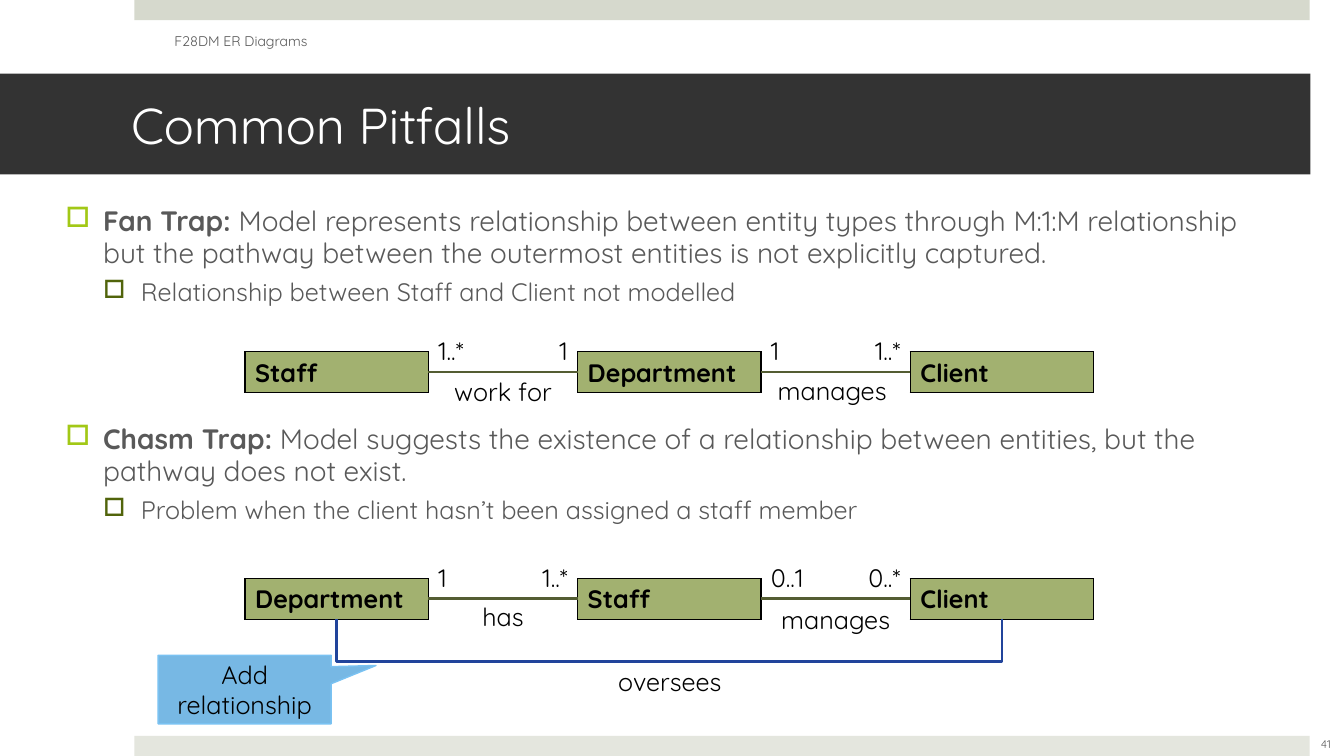
from lxml import etree
from pptx import Presentation
from pptx.dml.color import RGBColor
from pptx.enum.shapes import MSO_CONNECTOR, MSO_SHAPE
from pptx.enum.text import MSO_ANCHOR, MSO_AUTO_SIZE, PP_ALIGN
from pptx.oxml.ns import qn
from pptx.util import Pt

LEFT, CENTER, RIGHT = PP_ALIGN.LEFT, PP_ALIGN.CENTER, PP_ALIGN.RIGHT
TOP, MIDDLE = MSO_ANCHOR.TOP, MSO_ANCHOR.MIDDLE
GROW = MSO_AUTO_SIZE.SHAPE_TO_FIT_TEXT
RECTANGLE, CALLOUT = MSO_SHAPE.RECTANGLE, MSO_SHAPE.RECTANGULAR_CALLOUT
STRAIGHT = MSO_CONNECTOR.STRAIGHT
TITLE_ONLY = 5

FONT = "Quicksand"
BLACK, WHITE, GREY = "000000", "FFFFFF", "595959"
DARK, GREEN, OLIVE, BLUE = "333333", "A2B170", "545D33", "21449B"

ENTITY_LEFT, ENTITY_STEP = 175, 237.6
ENTITY_WIDTH, ENTITY_HEIGHT = 131, 29
LABEL_WIDTH = 47
FAN_TOP, CHASM_TOP = 251.3, 413.3

LEVELS = [
    {"size": 20, "margin": 27, "bullet": "A2C816"},
    {"size": 18, "margin": 54, "bullet": "51640B"},
]
BODY = [
    (0, 0, "Fan Trap: ",
     "Model represents relationship between entity types through M:1:M relationship "
     "but the pathway between the outermost entities is not explicitly captured."),
    (1, 6, "", "Relationship between Staff and Client not modelled"),
    (0, 83, "Chasm Trap:",
     " Model suggests the existence of a relationship between entities, "
     "but the pathway does not exist."),
    (1, 6, "", "Problem when the client hasn’t been assigned a staff member"),
]
FAN = {
    "entities": ["Staff", "Department", "Client"],
    "links": [("1..*", "work for", "1", 0, 13.7), ("1", "manages", "1..*", -2.5, 13)],
}
CHASM = {
    "entities": ["Department", "Staff", "Client"],
    "links": [("1", "has", "1..*", 0, 13), ("0..1", "manages", "0..*", 0, 15)],
}


def colour(value):
    return RGBColor.from_string(value)


def points(*lengths):
    return [Pt(length) for length in lengths]


def apply(target, values):
    for name, value in values.items():
        setattr(target, name, value)


def paint(shape, fill, line=None):
    shape.shadow.inherit = False
    shape.fill.solid()
    shape.fill.fore_color.rgb = colour(fill)
    if line:
        shape.line.color.rgb = colour(line)
        shape.line.width = Pt(1)
    else:
        shape.line.fill.background()


def add_span(para, text, size, shade=BLACK, bold=False):
    span = para.add_run()
    span.text = text
    apply(span.font, {"name": FONT, "size": Pt(size), "bold": bold})
    span.font.color.rgb = colour(shade)


def write(shape, text, size, shade=BLACK, align=LEFT, anchor=TOP):
    frame = shape.text_frame
    apply(frame, {"word_wrap": True, "vertical_anchor": anchor})
    para = frame.paragraphs[0]
    para.alignment = align
    add_span(para, text, size, shade)


def add_bar(page, left, top, width, height, fill):
    bar = page.shapes.add_shape(RECTANGLE, *points(left, top, width, height))
    paint(bar, fill)


def add_title(page, text):
    title = page.shapes.title
    apply(title, dict(zip(("left", "top", "width", "height"), points(0, 52.6, 936, 72))))
    title.fill.solid()
    title.fill.fore_color.rgb = colour(DARK)
    apply(title.text_frame, {"margin_left": Pt(93.6), "margin_right": Pt(21.6)})
    write(title, text, 36, WHITE, LEFT, MIDDLE)


def add_note(page, text, left, top, width, size, align):
    box = page.shapes.add_textbox(*points(left, top, width, 29))
    write(box, text, size, GREY, align, MIDDLE)


def add_label(page, text, left, top, width, align):
    box = page.shapes.add_textbox(*points(left, top, width, 29))
    write(box, text, 18, BLACK, align)
    box.text_frame.auto_size = GROW


def add_bullet(para, margin, shade):
    props = para._p.get_or_add_pPr()
    props.set("marL", str(Pt(margin)))
    props.set("indent", str(Pt(-27)))
    tint = etree.SubElement(props, qn("a:buClr"))
    etree.SubElement(tint, qn("a:srgbClr"), val=shade)
    etree.SubElement(props, qn("a:buChar"), char="□")


def add_body(page):
    frame = page.shapes.add_textbox(*points(39.6, 143.3, 877, 374)).text_frame
    frame.word_wrap = True
    for index, (level, before, lead, text) in enumerate(BODY):
        para = frame.add_paragraph() if index else frame.paragraphs[0]
        style = LEVELS[level]
        apply(para, {"level": level, "space_before": Pt(before), "line_spacing": 0.96})
        add_bullet(para, style["margin"], style["bullet"])
        if lead:
            add_span(para, lead, style["size"], GREY, True)
        add_span(para, text, style["size"], GREY)


def add_entity(page, name, left, top):
    frame = page.shapes.add_table(1, 1, *points(left, top, ENTITY_WIDTH, ENTITY_HEIGHT))
    cell = frame.table.cell(0, 0)
    props = cell._tc.get_or_add_tcPr()
    for side in ("a:lnL", "a:lnR", "a:lnT", "a:lnB"):
        border = etree.SubElement(props, qn(side), w=str(Pt(1)))
        fill = etree.SubElement(border, qn("a:solidFill"))
        etree.SubElement(fill, qn("a:srgbClr"), val=BLACK)
    cell.fill.solid()
    cell.fill.fore_color.rgb = colour(GREEN)
    add_span(cell.text_frame.paragraphs[0], name, 18, BLACK, True)


def add_link(page, left, right, top, link):
    near, verb, far, shift, drop = link
    middle = top + ENTITY_HEIGHT / 2
    line = page.shapes.add_connector(STRAIGHT, *points(left, middle, right, middle))
    line.line.color.rgb = colour(OLIVE)
    line.line.width = Pt(2)
    etree.SubElement(line._element.spPr, qn("a:effectLst"))
    add_label(page, near, left, top - 15.2, LABEL_WIDTH, LEFT)
    add_label(page, far, right - LABEL_WIDTH, top - 15.2, LABEL_WIDTH, RIGHT)
    add_label(page, verb, left + shift, top + drop, right - left, CENTER)


def add_diagram(page, top, diagram):
    lefts = [ENTITY_LEFT + ENTITY_STEP * index for index in range(3)]
    for name, left in zip(diagram["entities"], lefts):
        add_entity(page, name, left, top)
    for link, left, right in zip(diagram["links"], lefts, lefts[1:]):
        add_link(page, left + ENTITY_WIDTH, right, top, link)


def add_missing_link(page):
    start = ENTITY_LEFT + ENTITY_WIDTH / 2
    end = start + 2 * ENTITY_STEP
    top, bottom = CHASM_TOP + ENTITY_HEIGHT, 472.3
    builder = page.shapes.build_freeform(*points(start, top))
    corners = [(start, bottom), (end, bottom), (end, top)]
    builder.add_line_segments([points(*corner) for corner in corners], close=False)
    route = builder.convert_to_shape()
    route.shadow.inherit = False
    route.fill.background()
    route.line.color.rgb = colour(BLUE)
    route.line.width = Pt(2)
    add_label(page, "oversees", 427, bottom, 103, CENTER)


def add_callout(page, text):
    callout = page.shapes.add_shape(CALLOUT, *points(113, 468, 123.5, 49))
    callout.adjustments[0] = 0.76
    callout.adjustments[1] = -0.35
    paint(callout, "77B8E4", "7AC2F2")
    write(callout, text, 18, BLACK, CENTER, MIDDLE)


def main():
    deck = Presentation()
    apply(deck, {"slide_width": Pt(960), "slide_height": Pt(540)})
    page = deck.slides.add_slide(deck.slide_layouts[TITLE_ONLY])
    add_bar(page, 96, 0, 839.5, 14.4, "D6D9CD")
    add_bar(page, 96, 525.6, 839.5, 14.4, "E4E6DE")
    add_title(page, "Common Pitfalls")
    add_body(page)
    add_note(page, "F28DM ER Diagrams", 117.5, 15, 304, 10, LEFT)
    add_note(page, "41", 923, 517, 48, 8, CENTER)
    add_diagram(page, FAN_TOP, FAN)
    add_diagram(page, CHASM_TOP, CHASM)
    add_missing_link(page)
    add_callout(page, "Add relationship")
    deck.save("out.pptx")


if __name__ == "__main__":
    main()
